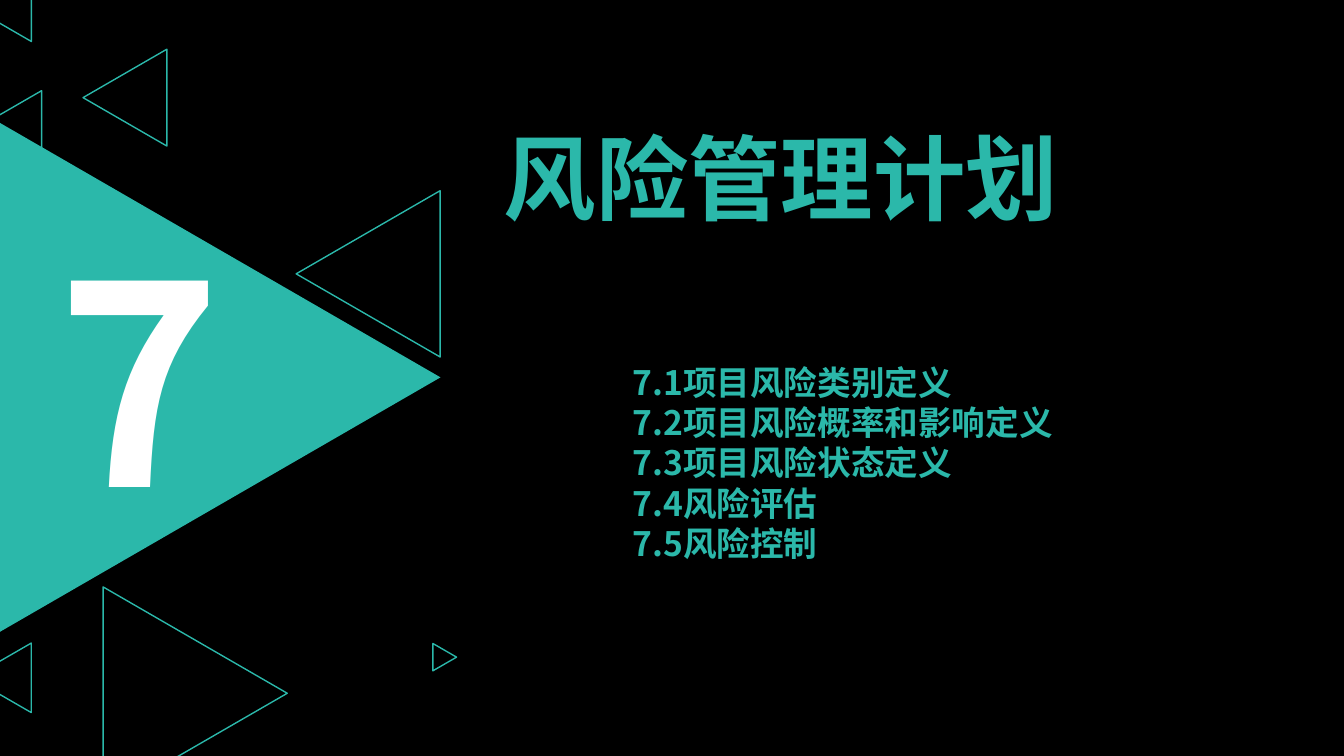
from dataclasses import dataclass
from math import sqrt

from pptx import Presentation
from pptx.dml.color import RGBColor
from pptx.enum.shapes import MSO_SHAPE
from pptx.enum.text import PP_ALIGN
from pptx.oxml.ns import qn
from pptx.slide import Slide
from pptx.util import Cm, Pt


@dataclass(frozen=True)
class Theme:
    background: RGBColor = RGBColor(0x00, 0x00, 0x00)
    accent: RGBColor = RGBColor(0x2B, 0xB8, 0xAA)
    light: RGBColor = RGBColor(0xFF, 0xFF, 0xFF)
    font: str = "Noto Sans CJK SC"
    number_size: int = 199
    title_size: int = 66
    list_size: int = 24
    outline: int = 1


@dataclass(frozen=True)
class Triangle:
    """Equilateral triangle pointing sideways: box centre and side in cm."""
    cx: float
    cy: float
    side: float
    points_right: bool = False
    filled: bool = False


@dataclass(frozen=True)
class TextBlock:
    """Text box in cm, one paragraph per line."""
    left: float
    top: float
    width: float
    height: float
    lines: tuple[str, ...]
    size: int
    color: RGBColor
    align: PP_ALIGN = PP_ALIGN.LEFT


THEME = Theme()

TRIANGLES = (
    Triangle(5.54, 9.51, 12.85, points_right=True, filled=True),
    Triangle(4.92, 17.47, 5.36, points_right=True),
    Triangle(9.28, 6.9, 4.19),
    Triangle(-0.35, 3.9, 3.23),
    Triangle(3.15, 2.46, 2.44),
    Triangle(0.03, 17.08, 1.75),
    Triangle(11.21, 16.56, 0.69, points_right=True),
    Triangle(-0.45, -0.39, 2.87),
)

TEXTS = (
    TextBlock(0.05, 5.13, 6.93, 8.76, ("7",),
              THEME.number_size, THEME.light, PP_ALIGN.CENTER),
    TextBlock(12.45, 2.92, 16.79, 3.07, ("风险管理计划",),
              THEME.title_size, THEME.accent),
    TextBlock(15.7, 8.99, 13.34, 5.38,
              ("7.1项目风险类别定义", "7.2项目风险概率和影响定义",
               "7.3项目风险状态定义", "7.4风险评估", "7.5风险控制"),
              THEME.list_size, THEME.accent),
)


def draw_triangle(slide: Slide, tri: Triangle) -> None:
    height = tri.side * sqrt(3) / 2
    sp = slide.shapes.add_shape(
        MSO_SHAPE.ISOSCELES_TRIANGLE,
        Cm(tri.cx - tri.side / 2), Cm(tri.cy - height / 2),
        Cm(tri.side), Cm(height))
    sp.rotation = 90 if tri.points_right else 270
    sp.shadow.inherit = False
    if tri.filled:
        sp.fill.solid()
        sp.fill.fore_color.rgb = THEME.accent
        sp.line.fill.background()
    else:
        sp.fill.background()
        sp.line.color.rgb = THEME.accent
        sp.line.width = Pt(THEME.outline)


def draw_text(slide: Slide, block: TextBlock) -> None:
    sp = slide.shapes.add_textbox(Cm(block.left), Cm(block.top),
                                  Cm(block.width), Cm(block.height))
    tf = sp.text_frame
    tf.word_wrap = True
    for i, line in enumerate(block.lines):
        p = tf.add_paragraph() if i else tf.paragraphs[0]
        p.alignment = block.align
        r = p.add_run()
        r.text = line
        r.font.size = Pt(block.size)
        r.font.bold = True
        r.font.color.rgb = block.color
        r.font.name = THEME.font
        # East Asian typeface
        ea = r.font._element.makeelement(qn("a:ea"), {"typeface": THEME.font})
        r.font._element.append(ea)


def main() -> None:
    prs = Presentation()
    prs.slide_width, prs.slide_height = Cm(33.88), Cm(19.05)
    slide = prs.slides.add_slide(prs.slide_layouts[6])

    # Background
    fill = slide.background.fill
    fill.solid()
    fill.fore_color.rgb = THEME.background

    # Triangle pattern
    for tri in TRIANGLES:
        draw_triangle(slide, tri)

    # Chapter number, title and section list
    for block in TEXTS:
        draw_text(slide, block)

    prs.save("out.pptx")


if __name__ == "__main__":
    main()
